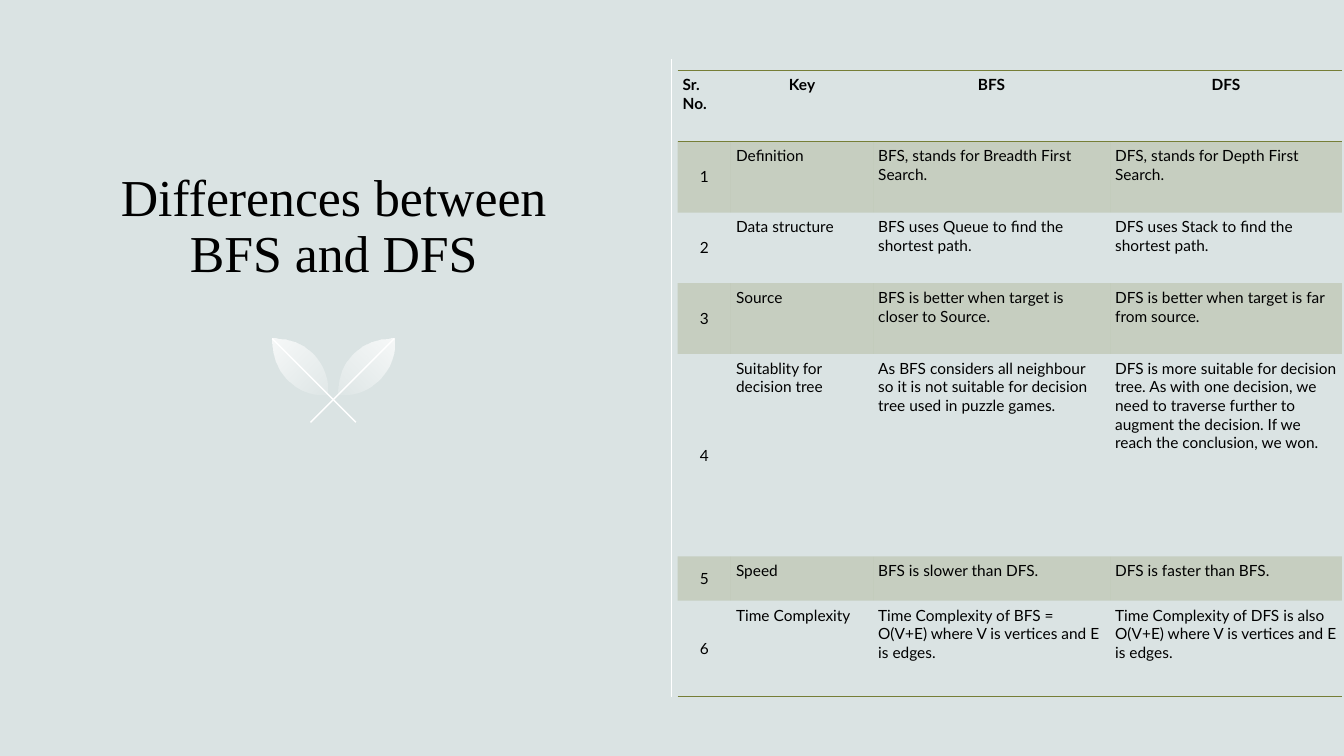
from dataclasses import dataclass

from lxml import etree
from pptx import Presentation
from pptx.dml.color import RGBColor
from pptx.enum import shapes, text
from pptx.oxml.ns import qn
from pptx import util as u

PX = 9144  # EMU per px, 100 px to the inch
WIDTH, HEIGHT = 1333, 750


@dataclass(frozen=True)
class Theme:
    background: RGBColor = RGBColor(0xDA, 0xE3, 0xE3)
    ink: RGBColor = RGBColor(0, 0, 0)
    white: RGBColor = RGBColor(0xFF, 0xFF, 0xFF)
    olive: RGBColor = RGBColor(0x76, 0x7E, 0x37)
    title_font: str = "Times New Roman"
    table_font: str = "Lato"
    title_size: int = 37
    table_size: int = 11
    line_width: int = 1


THEME = Theme()
NO_STYLE = "{2D5ABB26-0587-4C30-8999-92F81FD0307C}"
COLUMNS = [53, 141, 235, 230]
ROW_HEIGHTS = [70, 71, 70, 70, 201, 44, 95]
ROWS = [
    ["Sr. No.", "Key", "BFS", "DFS"],
    ["1", "Definition", "BFS, stands for Breadth First Search.",
     "DFS, stands for Depth First Search."],
    ["2", "Data structure", "BFS uses Queue to find the shortest path.",
     "DFS uses Stack to find the shortest path."],
    ["3", "Source", "BFS is better when target is closer to Source.",
     "DFS is better when target is far from source."],
    ["4", "Suitablity for decision tree",
     "As BFS considers all neighbour so it is not suitable for decision tree "
     "used in puzzle games.",
     "DFS is more suitable for decision tree. As with one decision, we need to "
     "traverse further to augment the decision. If we reach the conclusion, we won."],
    ["5", "Speed", "BFS is slower than DFS.", "DFS is faster than BFS."],
    ["6", "Time Complexity",
     "Time Complexity of BFS = O(V+E) where V is vertices and E is edges.",
     "Time Complexity of DFS is also O(V+E) where V is vertices and E is edges."],
]


def px(*lengths):
    return [u.Emu(round(length * PX)) for length in lengths]


def add_run(paragraph, words, font, size, bold=False):
    run = paragraph.add_run()
    run.text = words
    run.font.name = font
    run.font.size = u.Pt(size)
    run.font.bold = bold
    run.font.color.rgb = THEME.ink


def set_alpha(element, percents):
    """Give each colour inside the element its opacity, in order."""
    for color, percent in zip(element.iter(qn("a:srgbClr")), percents):
        etree.SubElement(color, qn("a:alpha"), val=str(percent * 1000))


def add_line(parent, start, end):
    line = parent.add_connector(shapes.MSO_CONNECTOR.STRAIGHT, *px(*start, *end))
    line.line.color.rgb = THEME.white
    line.line.width = u.Pt(THEME.line_width)
    etree.SubElement(line._element.spPr, qn("a:effectLst"))


def add_backdrop(slide):
    fill = slide.background.fill
    fill.solid()
    fill.fore_color.rgb = THEME.background
    panel = slide.shapes.add_shape(shapes.MSO_SHAPE.RECTANGLE, *px(0, 0, WIDTH, HEIGHT))
    panel.shadow.inherit = False
    panel.fill.solid()
    panel.fill.fore_color.rgb = THEME.background
    panel.line.fill.background()


def add_title(slide, box):
    frame = slide.shapes.add_textbox(*px(*box)).text_frame
    frame.word_wrap = True
    frame.vertical_anchor = text.MSO_ANCHOR.BOTTOM
    paragraph = frame.paragraphs[0]
    paragraph.alignment = text.PP_ALIGN.CENTER
    paragraph.line_spacing = 0.9
    add_run(paragraph, "Differences between BFS and DFS",
            THEME.title_font, THEME.title_size)


def bend_segments(shape):
    """Turn every three straight segments into one cubic Bezier curve."""
    segments = list(shape._element.iter(qn("a:lnTo")))
    for first, second, last in zip(segments[::3], segments[1::3], segments[2::3]):
        curve = etree.Element(qn("a:cubicBezTo"))
        first.addprevious(curve)
        for segment in (first, second, last):
            curve.append(segment[0])
            segment.getparent().remove(segment)


def add_leaf_half(group, points, angle, fade):
    corners = [tuple(px(*point)) for point in points]
    builder = group.shapes.build_freeform(*corners[0], scale=1.0)
    builder.add_line_segments(corners[1:], close=True)
    half = builder.convert_to_shape()
    bend_segments(half)
    half.shadow.inherit = False
    half.line.fill.background()
    half.fill.gradient()
    half.fill.gradient_angle = angle
    for stop in half.fill.gradient_stops:
        stop.color.rgb = THEME.white
    set_alpha(half._element.spPr, (80, fade))


def add_leaves(slide, box):
    """Two mirrored leaves, each split along its stem from tip to base."""
    left, top, width, height = box
    right = left + width
    tip, base, side = (right, top), (right - 55, top + 55), (right - 40, top + 15)
    upper = [side, (right - 51, top + 26), (right - 56, top + 40), base,
             tip, tip, tip,
             (right - 14, top - 1), (right - 29, top + 4), side]
    stem_sum = right + top
    lower = [(stem_sum - y, stem_sum - x) for x, y in upper]

    group = slide.shapes.add_group_shape()
    for mirrored, angle in ((False, 225), (True, 315)):
        def place(point):
            return (left + right - point[0], point[1]) if mirrored else point
        for half, fade in ((upper, 20), (lower, 10)):
            add_leaf_half(group, [place(point) for point in half], angle, fade)
        add_line(group.shapes, place((right - height, top + height)), place(tip))


def add_border(cell, sides):
    properties = cell._tc.get_or_add_tcPr()
    for index, side in enumerate(sides):
        border = etree.Element(qn("a:" + side), w=str(u.Pt(THEME.line_width)))
        fill = etree.SubElement(border, qn("a:solidFill"))
        etree.SubElement(fill, qn("a:srgbClr"), val=str(THEME.olive))
        properties.insert(index, border)


def fill_cell(cell, words, row, column):
    header, numbered = row == 0, column == 0
    cell.margin_left = cell.margin_right = cell.margin_top = cell.margin_bottom = px(5)[0]
    cell.vertical_anchor = (text.MSO_ANCHOR.MIDDLE if numbered and not header
                            else text.MSO_ANCHOR.TOP)
    paragraph = cell.text_frame.paragraphs[0]
    paragraph.alignment = (text.PP_ALIGN.CENTER if header != numbered
                           else text.PP_ALIGN.LEFT)
    add_run(paragraph, words, THEME.table_font, THEME.table_size, header)
    if row % 2:
        cell.fill.solid()
        cell.fill.fore_color.rgb = THEME.olive
        set_alpha(cell._tc.tcPr, (20,))
    else:
        cell.fill.background()
    if header:
        add_border(cell, ("lnT", "lnB"))
    elif row == len(ROWS) - 1:
        add_border(cell, ("lnB",))


def add_comparison_table(slide, box):
    frame = slide.shapes.add_table(len(ROWS), len(COLUMNS), *px(*box))
    table = frame.table
    table.first_row = table.horz_banding = False
    next(frame._element.iter(qn("a:tableStyleId"))).text = NO_STYLE
    for column, width in zip(table.columns, px(*COLUMNS)):
        column.width = width
    for row, height in zip(table.rows, px(*ROW_HEIGHTS)):
        row.height = height
    for row, entries in enumerate(ROWS):
        for column, words in enumerate(entries):
            fill_cell(table.cell(row, column), words, row, column)


def main():
    presentation = Presentation()
    presentation.slide_width, presentation.slide_height = px(WIDTH, HEIGHT)
    slide = presentation.slides.add_slide(presentation.slide_layouts[6])
    add_backdrop(slide)
    add_title(slide, (108, 118, 446, 168))
    add_leaves(slide, (270, 336, 121, 83))
    add_line(slide.shapes, (666, 59), (666, 691))
    add_comparison_table(slide, (672, 70, sum(COLUMNS), sum(ROW_HEIGHTS)))
    presentation.save("out.pptx")


if __name__ == "__main__":
    main()
